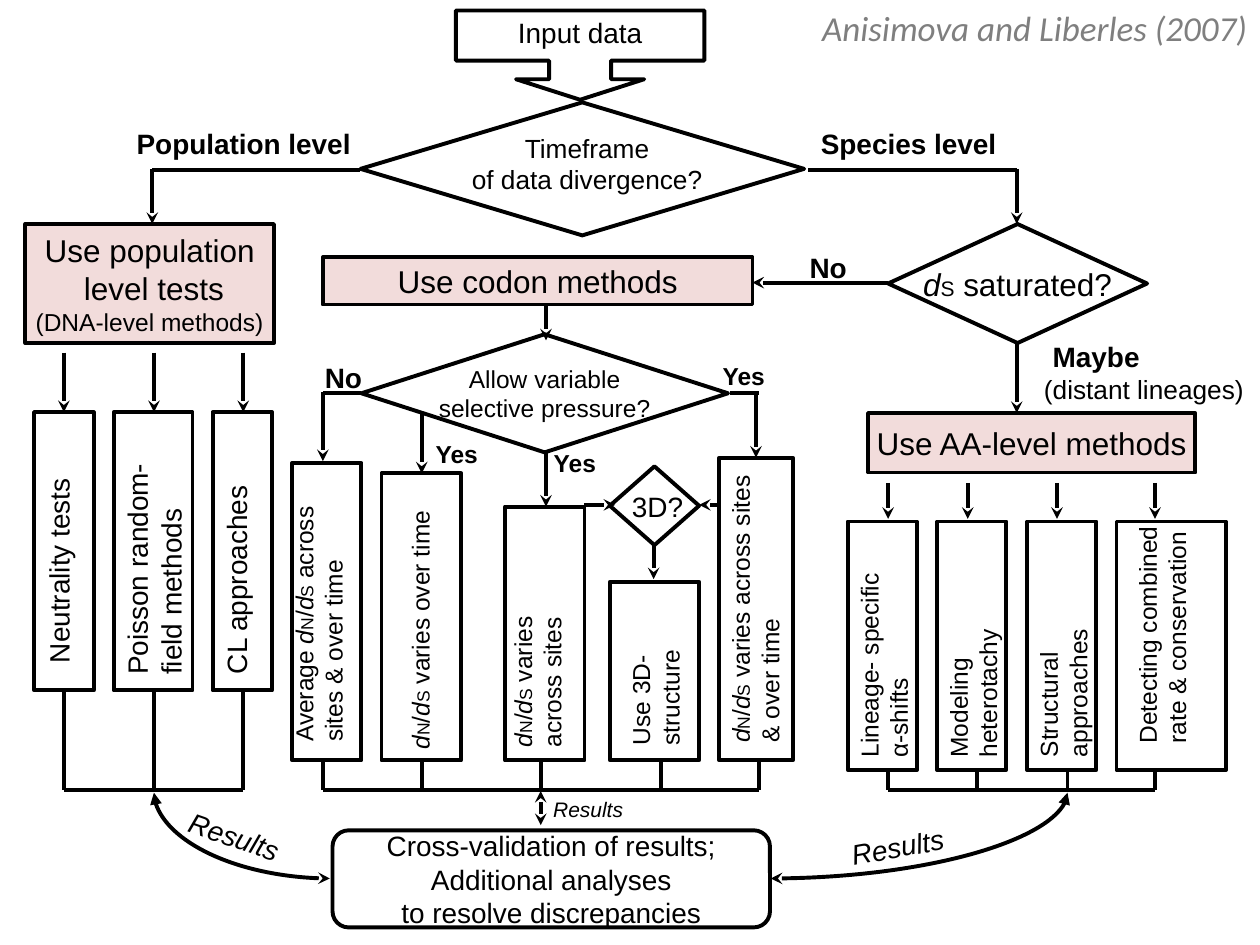
from dataclasses import dataclass

import pptx
import pptx.dml.color
import pptx.enum.shapes
import pptx.enum.text
import pptx.oxml
import pptx.oxml.ns
import pptx.util

Pt = pptx.util.Pt
SHAPE = pptx.enum.shapes.MSO_SHAPE
LINK = pptx.enum.shapes.MSO_CONNECTOR
ALIGN = pptx.enum.text.PP_ALIGN
ANCHOR = pptx.enum.text.MSO_ANCHOR


@dataclass(frozen=True)
class Theme:
    font: str = "Arial"
    cite_font: str = "Calibri"
    ink: str = "000000"
    rose: str = "F2DCDB"
    grey: str = "7F7F7F"
    stroke: float = 2.25
    cite: int = 20
    big: int = 18
    label: int = 16
    mid: int = 15
    small: int = 14
    tiny: int = 12
    sub: int = 10


T = Theme()


@dataclass
class Run:
    text: str
    size: int = 0
    bold: bool = False
    italic: bool = False


def rgb(value):
    return pptx.dml.color.RGBColor.from_string(value)


def rate(tail, lead=""):
    """Runs for the dN/dS ratio with optional words around it."""
    runs = [Run(lead)] if lead else []
    return runs + [Run("d", italic=True), Run("N", T.sub), Run("/"),
                   Run("d", italic=True), Run("S", T.sub), Run(tail)]


class Flowchart:
    def __init__(self, slide, theme):
        self.s, self.t = slide, theme

    def set_text(self, sp, paras, size, align, anchor, wrap, font=None, color=None, indents=None):
        tf = sp.text_frame
        tf.word_wrap = wrap
        tf.vertical_anchor = anchor
        for i, runs in enumerate(paras):
            p = tf.paragraphs[0] if i == 0 else tf.add_paragraph()
            if indents and i in indents:
                p._p.get_or_add_pPr().set("marL", str(Pt(indents[i])))
            p.alignment = align
            for run in [Run(runs)] if isinstance(runs, str) else runs:
                r = p.add_run()
                r.text = run.text
                r.font.name = font or self.t.font
                r.font.size = Pt(run.size or size)
                r.font.bold, r.font.italic = run.bold, run.italic
                r.font.color.rgb = rgb(color or self.t.ink)

    def box(self, kind, x, y, w, h, paras=(), size=T.big, fill=None, indents=None):
        sp = self.s.shapes.add_shape(kind, Pt(x), Pt(y), Pt(w), Pt(h))
        sp.shadow.inherit = False
        if fill:
            sp.fill.solid()
            sp.fill.fore_color.rgb = rgb(fill)
        else:
            sp.fill.background()
        sp.line.color.rgb = rgb(self.t.ink)
        sp.line.width = Pt(self.t.stroke)
        self.set_text(sp, paras, size, ALIGN.CENTER, ANCHOR.MIDDLE, False, indents=indents)
        return sp

    def label(self, x, y, w, h, paras, size=T.label, align=ALIGN.LEFT,
              anchor=ANCHOR.TOP, wrap=True, turn=0, **style):
        sp = self.s.shapes.add_textbox(Pt(x), Pt(y), Pt(w), Pt(h))
        sp.rotation = turn
        self.set_text(sp, paras, size, align, anchor, wrap, **style)

    def upright(self, cx, cy, length, depth, paras, size=T.small):
        """Text reading upwards, placed by its centre."""
        self.label(cx - length / 2, cy - depth / 2, length, depth, paras, size, turn=270)

    def line(self, x1, y1, x2, y2, head=None, tail=None, kind=LINK.STRAIGHT):
        c = self.s.shapes.add_connector(kind, Pt(x1), Pt(y1), Pt(x2), Pt(y2))
        c.line.color.rgb = rgb(self.t.ink)
        c.line.width = Pt(self.t.stroke)
        props = c._element.spPr
        ln = props.find(pptx.oxml.ns.qn("a:ln"))
        for tag, end in (("headEnd", head), ("tailEnd", tail)):
            if end:
                ln.append(pptx.oxml.parse_xml(
                    f'<a:{tag} {pptx.oxml.ns.nsdecls("a")} type="{end}"/>'))
        props.append(pptx.oxml.parse_xml(
            f'<a:effectLst {pptx.oxml.ns.nsdecls("a")}/>'))
        return c

    def arrow(self, x1, y1, x2, y2, head=None):
        self.line(x1, y1, x2, y2, head, "stealth")

    def curve(self, x1, y1, x2, y2):
        c = self.line(x1, y1, x2, y2, "stealth", "triangle", LINK.CURVE)
        c._element.spPr.prstGeom.set("prst", "curvedConnector2")

    def columns(self, boxes, bottom):
        for x, top, w in boxes:
            self.box(SHAPE.FLOWCHART_PROCESS, x, top, w, bottom - top)

    def bus(self, xs, top, bottom=451.5):
        for x in xs:
            self.line(x, top, x, bottom)
        self.line(xs[0], bottom, xs[-1], bottom)


def bold(text):
    return [[Run(text, bold=True)]]


def build():
    prs = pptx.Presentation()
    prs.slide_width, prs.slide_height = Pt(720), Pt(540)
    f = Flowchart(prs.slides.add_slide(prs.slide_layouts[6]), T)
    process, decision = SHAPE.FLOWCHART_PROCESS, SHAPE.FLOWCHART_DECISION

    # Citation
    f.label(417, 0, 303, 31.5, [[Run("Anisimova and Liberles (2007)", italic=True)]],
            T.cite, ALIGN.RIGHT, font=T.cite_font, color=T.grey)

    # Input and first decision
    f.box(decision, 206, 58.5, 253.5, 76)
    f.label(260, 72, 151, 43, ["Timeframe", "of data divergence?"], T.mid,
            ALIGN.CENTER, ANCHOR.MIDDLE)
    callout = f.box(SHAPE.DOWN_ARROW_CALLOUT, 260.5, 6, 142, 51, ["Input data"], T.label)
    for i, value in enumerate((0.695, 0.718, 0.23, 0.561)):
        callout.adjustments[i] = value
    callout.text_frame.margin_bottom = Pt(7)
    f.label(71, 68.5, 137.5, 26.5, bold("Population level"), wrap=False)
    f.label(462, 68.5, 115, 26.5, bold("Species level"), wrap=False)
    for start, x in ((206, 87), (462, 581)):
        f.line(start, 97, x, 97)
        f.arrow(x, 96.5, x, 128)

    # Population branch
    f.box(process, 14.5, 128, 142, 68,
          ["Use population", "level tests", [Run("(DNA-level methods)", T.small)]],
          fill=T.rose, indents={1: 5})
    stems = (36.5, 88, 139)
    for x in stems:
        f.arrow(x, 201.5, x, 235.5)
    f.columns([(19.5, 235.5, 34), (65, 235.5, 45), (121.5, 235.5, 34)], 394.5)
    f.upright(33.5, 308, 156, 26.5, ["Neutrality tests"], T.label)
    f.upright(88, 316, 153.5, 46, ["Poisson random-field methods"], T.label)
    f.upright(135, 315.5, 153.5, 26.5, ["CL approaches"], T.label)
    f.bus(stems, 394.5)

    # Species branch: saturation decision
    f.box(decision, 507.5, 128, 148, 68,
          [[Run("d", italic=True), Run("S", T.tiny), Run(" saturated?")]])
    f.label(455.5, 139.5, 45.5, 26.5, bold("No"))
    f.arrow(507.5, 161.5, 430, 161.5)
    f.label(589.5, 190.5, 130.5, 45, bold("Maybe") + [[Run("(distant lineages)", T.mid)]],
            indents={0: 5})
    f.arrow(581, 196.5, 581, 236)

    # Codon methods
    f.box(process, 184.5, 147, 245.5, 27, ["Use codon methods"], fill=T.rose)
    f.arrow(312, 173.5, 312, 194.5)
    f.box(decision, 206.5, 191, 209.5, 67.5,
          ["Allow variable", "selective pressure?"], T.small)
    f.line(206.5, 224.5, 184.5, 224.5)
    f.line(417, 224.5, 433.5, 224.5)
    for x, top, bottom in ((184.5, 224, 263.5), (241, 236, 270.5),
                           (312, 258.5, 289.5), (432, 224.5, 261.5)):
        f.arrow(x, top, x, bottom)
    f.label(178.5, 202.5, 39.5, 26.5, bold("No"))
    for x, y in ((399.5, 202.5), (235.5, 247.5), (303, 252.5)):
        f.label(x, y, 51, 24, bold("Yes"), T.small, ALIGN.CENTER)
    f.columns([(167, 264.5, 39.5), (218, 270.5, 45.5), (288.5, 289.5, 45.5),
               (348.5, 332.5, 51), (411, 261.5, 42)], 434.5)
    f.upright(185.5, 350.5, 161, 48, [rate(" across sites & over time", "Average ")])
    f.upright(248.5, 359, 152.5, 41, [rate(" varies over time")])
    f.upright(307, 363, 142, 41, [rate(" varies"), "across sites"])
    f.upright(374.5, 382.5, 101, 41, ["Use 3D-structure"])
    f.upright(431.5, 348, 167, 41, [rate(" varies across sites & over time")])
    f.bus((184.5, 241, 309, 377.5, 433.5), 434.5)

    # 3D decision
    f.box(SHAPE.DIAMOND, 348.5, 266.5, 51, 45)
    f.label(354, 276, 51, 26.5, ["3D?"])
    f.arrow(334, 288.5, 351.5, 288.5)
    f.arrow(411, 288.5, 399.5, 288.5)
    f.arrow(373.5, 310.5, 373.5, 331)

    # Amino-acid methods
    f.box(process, 496, 236, 187, 34, ["Use AA-level methods"], fill=T.rose)
    for x in (507.5, 553, 604, 660):
        f.arrow(x, 276, x, 296.5)
    f.columns([(484.5, 298, 39.5), (535.5, 298, 39.5),
               (587, 298, 39.5), (638, 298, 62.5)], 440)
    f.upright(505, 372, 136, 41, ["Lineage- specific α-shifts"])
    f.upright(556, 372, 136, 41, ["Modeling heterotachy"])
    f.upright(607.5, 366, 147.5, 41, ["Structural approaches"])
    f.upright(664, 361, 142, 41, ["Detecting combined", "rate & conservation"])
    f.bus((507.5, 558.5, 610, 660), 440)

    # Cross-validation
    f.box(SHAPE.FLOWCHART_ALTERNATE_PROCESS, 190, 474.5, 250, 55.5,
          ["Cross-validation of results;", "Additional analyses", "to resolve discrepancies"],
          T.label)
    f.curve(188.5, 502, 88, 453)
    f.curve(440.5, 502, 610, 453)
    f.arrow(309, 452, 309, 471.5, head="stealth")
    results = [[Run("Results", italic=True)]]
    f.label(99.5, 468.5, 90.5, 26.5, results, turn=19.2)
    f.label(479, 468.5, 90.5, 26.5, results, turn=349.6)
    f.label(309, 451.5, 62.5, 21.5, results, T.tiny)

    prs.save("out.pptx")


if __name__ == "__main__":
    build()
